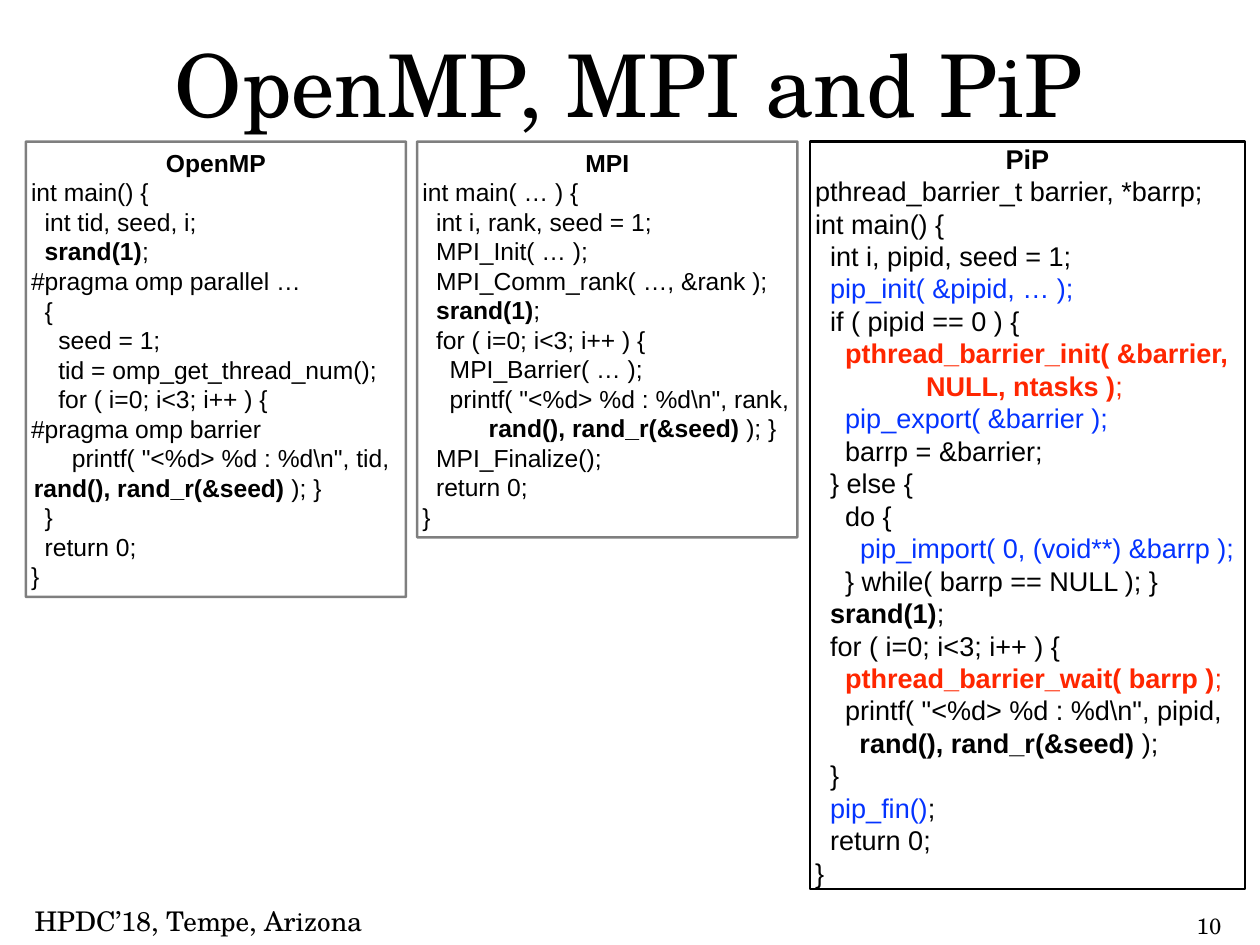
from lxml import etree
from pptx import Presentation
from pptx.dml.color import RGBColor
from pptx.enum.shapes import MSO_SHAPE
from pptx.enum.text import MSO_ANCHOR, MSO_AUTO_SIZE, PP_ALIGN
from pptx.oxml.ns import qn
from pptx.util import Cm, Pt

RECT = MSO_SHAPE.RECTANGLE
MIDDLE, BOTTOM = MSO_ANCHOR.MIDDLE, MSO_ANCHOR.BOTTOM
LEFT, CENTER = PP_ALIGN.LEFT, PP_ALIGN.CENTER
FIXED = MSO_AUTO_SIZE.NONE

THEME = {
    "serif": "TeX Gyre Schola", "sans": "Arial",
    "title": 70.3, "foot": 22, "page": 18, "code": 20, "large": 22,
    "plain": ("000000", False), "bold": ("000000", True),
    "blue": ("0433FF", False), "red": ("FF2600", False), "hot": ("FF2600", True),
}


def set_frame(shape, anchor, pad):
    frame = shape.text_frame
    frame.word_wrap = True
    frame.auto_size = FIXED
    frame.vertical_anchor = anchor
    frame.margin_left = frame.margin_right = Cm(0.15)
    frame.margin_top = frame.margin_bottom = Cm(pad)
    return frame


def add_run(par, text, style, size, face):
    run = par.add_run()
    run.text = text
    tint, bold = THEME[style]
    run.font.name = face
    run.font.size = Pt(size)
    run.font.bold = bold
    run.font.color.rgb = RGBColor.from_string(tint)


deck = Presentation()
deck.slide_width, deck.slide_height = Cm(36.12), Cm(27.1)
slide = deck.slides.add_slide(deck.slide_layouts[5])

title = slide.shapes.title
title.left, title.top, title.width, title.height = Cm(0.84), Cm(0.71), Cm(34.37), Cm(3.33)
par = set_frame(title, MIDDLE, 0.15).paragraphs[0]
par.alignment = CENTER
add_run(par, "OpenMP, MPI and PiP", "plain", THEME["title"], THEME["serif"])

notes = [
    ("HPDC’18, Tempe, Arizona", "foot", (0.84, 25.78, 10.64, 1.24), MIDDLE, LEFT),
    ("10", "page", (34.09, 26.01, 1.14, 1.07), BOTTOM, CENTER),
]
for text, size, place, anchor, align in notes:
    box = slide.shapes.add_textbox(*[Cm(n) for n in place])
    par = set_frame(box, anchor, 0.15).paragraphs[0]
    par.alignment = align
    add_run(par, text, "plain", THEME[size], THEME["serif"])

SEED = (0, ("  ", "plain"), ("srand(1)", "bold"), (";", "plain"))
RAND = ("rand(), rand_r(&seed)", "bold")

openmp = [
    "int main() {",
    "  int tid, seed, i;",
    SEED,
    "#pragma omp parallel …",
    "  {",
    "    seed = 1;",
    "    tid = omp_get_thread_num();",
    "    for ( i=0; i<3; i++ ) {",
    "#pragma omp barrier",
    '      printf( "<%d> %d : %d\\n", tid,',
    (0.08, RAND, (" ); }", "plain")),
    "  }",
    "  return 0;",
    "}",
]
mpi = [
    "int main( … ) {",
    "  int i, rank, seed = 1;",
    "  MPI_Init( … );",
    "  MPI_Comm_rank( …, &rank );",
    SEED,
    "  for ( i=0; i<3; i++ ) {",
    "    MPI_Barrier( … );",
    '    printf( "<%d> %d : %d\\n", rank,',
    (1.9, RAND, (" ); }", "plain")),
    "  MPI_Finalize();",
    "  return 0;",
    "}",
]
pip = [
    "pthread_barrier_t barrier, *barrp;",
    "int main() {",
    "  int i, pipid, seed = 1;",
    (0, ("  ", "plain"), ("pip_init( &pipid, … );", "blue")),
    "  if ( pipid == 0 ) {",
    (0, ("    ", "plain"), ("pthread_barrier_init( &barrier,", "hot")),
    (3.18, ("NULL, ntasks )", "hot"), (";", "red")),
    (0, ("    ", "plain"), ("pip_export( &barrier );", "blue")),
    "    barrp = &barrier;",
    "  } else {",
    "    do {",
    (0, ("      ", "plain"), ("pip_import( 0, (void**) &barrp );", "blue")),
    "    } while( barrp == NULL ); }",
    SEED,
    "  for ( i=0; i<3; i++ ) {",
    (0, ("    ", "plain"), ("pthread_barrier_wait( barrp )", "hot"), (";", "red")),
    '    printf( "<%d> %d : %d\\n", pipid,',
    (1.27, RAND, (" );", "plain")),
    "  }",
    (0, ("  ", "plain"), ("pip_fin()", "blue"), (";", "plain")),
    "  return 0;",
    "}",
]

panels = [
    ("OpenMP", openmp, "code", 0.74, 10.9, 13.06, True),
    ("MPI", mpi, "code", 11.96, 10.9, 11.35, True),
    ("PiP", pip, "large", 23.22, 12.47, 21.44, False),
]
for name, lines, kind, left, width, height, faded in panels:
    panel = slide.shapes.add_shape(RECT, Cm(left), Cm(4.06), Cm(width), Cm(height))
    panel.shadow.inherit = False
    panel.fill.background()
    panel.line.width = Pt(2)
    panel.line.color.rgb = RGBColor.from_string(THEME["plain"][0])
    if faded:
        color = panel.line.fill._xPr.find(".//" + qn("a:srgbClr"))
        etree.SubElement(color, qn("a:alpha")).set("val", "50000")
    frame = set_frame(panel, MIDDLE, 0)
    size = THEME[kind]
    for row, line in enumerate([(0, (name, "bold"))] + lines):
        indent, *runs = (0, (line, "plain")) if isinstance(line, str) else line
        par = frame.add_paragraph() if row else frame.paragraphs[0]
        par.alignment = LEFT if row else CENTER
        par.line_spacing = Pt(size * 1.2)
        par._p.get_or_add_pPr().set("marL", str(Cm(indent)))
        for text, style in runs:
            add_run(par, text, style, size, THEME["sans"])

deck.save("out.pptx")
